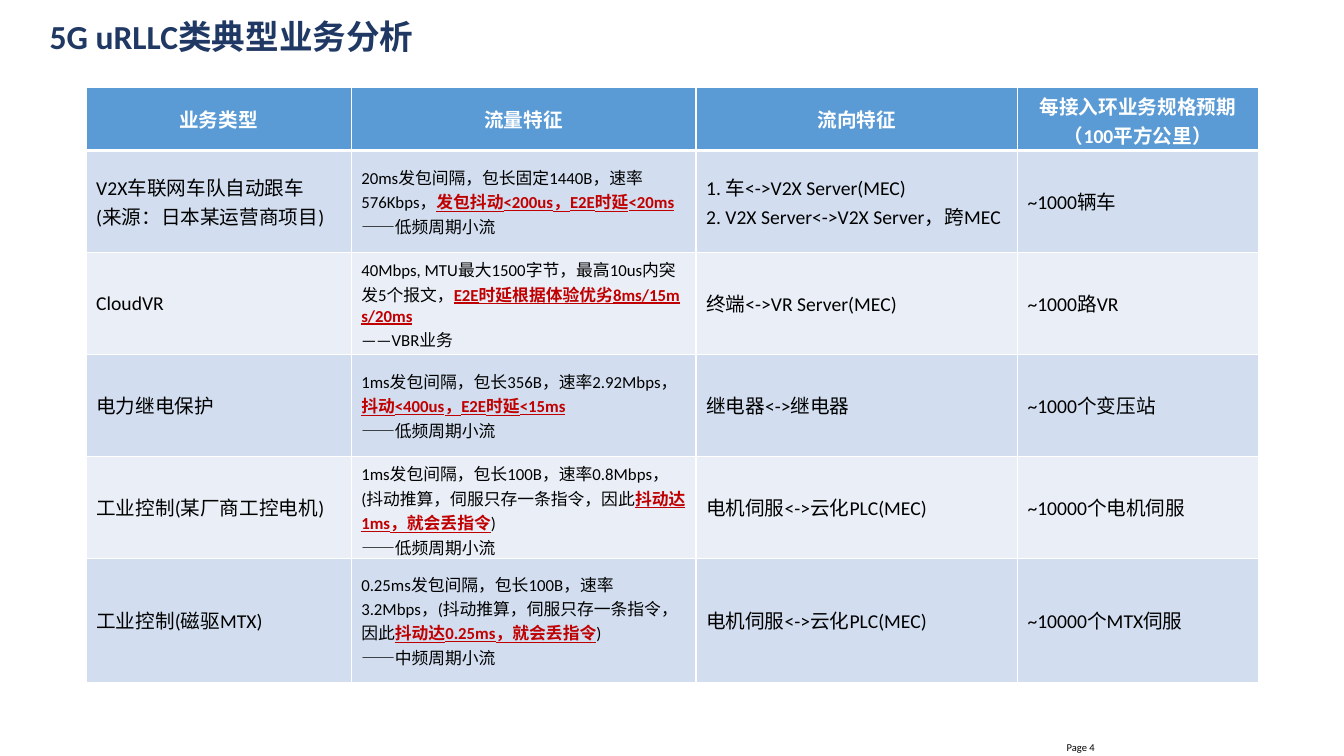
from lxml.etree import SubElement
from pptx import Presentation
from pptx.dml.color import RGBColor
from pptx.enum.text import MSO_ANCHOR as Anchor, PP_ALIGN as Align
from pptx.oxml.ns import qn
from pptx.util import Cm, Pt

NAVY = RGBColor(0x20, 0x38, 0x64)
BLUE = RGBColor(0x5B, 0x9B, 0xD5)
BAND_DARK = RGBColor(0xD2, 0xDE, 0xEF)
BAND_LIGHT = RGBColor(0xEA, 0xEF, 0xF7)
RED = RGBColor(0xC0, 0x00, 0x00)
BLACK = RGBColor(0x00, 0x00, 0x00)
WHITE = RGBColor(0xFF, 0xFF, 0xFF)

COLUMN_WIDTHS = [6.68, 8.69, 8.1, 6.07]
ROW_HEIGHTS = [1.6, 2.57, 2.57, 2.57, 2.57, 3.12]
TRAFFIC_COLUMN = 1

# Text between asterisks is emphasised; each line is a paragraph.
HEADINGS = ["业务类型", "流量特征", "流向特征", "每接入环业务规格预期\n（100平方公里）"]
SERVICES = [
    ["V2X车联网车队自动跟车\n(来源：日本某运营商项目)",
     "20ms发包间隔，包长固定1440B，速率576Kbps，*发包抖动<200us，E2E时延<20ms*\n——低频周期小流",
     "1. 车<->V2X Server(MEC)\n2. V2X Server<->V2X Server，跨MEC",
     "~1000辆车"],
    ["CloudVR",
     "40Mbps, MTU最大1500字节，最高10us内突发5个报文，*E2E时延根据体验优劣8ms/15ms/20ms*\n——VBR业务",
     "终端<->VR Server(MEC)",
     "~1000路VR"],
    ["电力继电保护",
     "1ms发包间隔，包长356B，速率2.92Mbps，*抖动<400us，E2E时延<15ms*\n——低频周期小流",
     "继电器<->继电器",
     "~1000个变压站"],
    ["工业控制(某厂商工控电机)",
     "1ms发包间隔，包长100B，速率0.8Mbps，(抖动推算，伺服只存一条指令，因此*抖动达1ms，就会丢指令*)\n——低频周期小流",
     "电机伺服<->云化PLC(MEC)",
     "~10000个电机伺服"],
    ["工业控制(磁驱MTX)",
     "0.25ms发包间隔，包长100B，速率3.2Mbps，(抖动推算，伺服只存一条指令，因此*抖动达0.25ms，就会丢指令*)\n——中频周期小流",
     "电机伺服<->云化PLC(MEC)",
     "~10000个MTX伺服"],
]


class SlideBuilder:
    font_name = "Calibri"

    def __init__(self, slide):
        self.slide = slide

    def fill_text(self, frame, text, size, color, bold=False, align=Align.LEFT, spacing=1.0):
        """Fill a text frame, setting the parts between asterisks in underlined bold red."""
        for index, line in enumerate(text.split("\n")):
            paragraph = frame.paragraphs[0] if index == 0 else frame.add_paragraph()
            paragraph.alignment = align
            paragraph.line_spacing = spacing
            for part, words in enumerate(line.split("*")):
                if not words:
                    continue
                emphasised = part % 2 == 1
                run = paragraph.add_run()
                run.text = words
                style = {"name": self.font_name, "size": Pt(size),
                         "bold": bold or emphasised, "underline": emphasised}
                for key, value in style.items():
                    setattr(run.font, key, value)
                run.font.color.rgb = RED if emphasised else color

    def text(self, left, top, width, height, text, anchor, **style):
        box = self.slide.shapes.add_textbox(Cm(left), Cm(top), Cm(width), Cm(height))
        frame = box.text_frame
        layout = {"word_wrap": True, "vertical_anchor": anchor,
                  "margin_top": 0, "margin_bottom": 0}
        for key, value in layout.items():
            setattr(frame, key, value)
        self.fill_text(frame, text, **style)

    def borders(self, cell, widths):
        properties = cell._tc.get_or_add_tcPr()
        for side, width in widths.items():
            line = SubElement(properties, qn(f"a:ln{side}"), w=str(Pt(width)))
            fill = SubElement(line, qn("a:solidFill"))
            SubElement(fill, qn("a:srgbClr"), val=str(WHITE))

    def table(self, left, top, widths, heights, rows):
        frame = self.slide.shapes.add_table(
            len(rows), len(widths), Cm(left), Cm(top), Cm(sum(widths)), Cm(sum(heights)))
        table = frame.table
        for column, width in zip(table.columns, widths):
            column.width = Cm(width)
        for row, height in zip(table.rows, heights):
            row.height = Cm(height)
        for r, row in enumerate(rows):
            for c, text in enumerate(row):
                cell = table.cell(r, c)
                cell.vertical_anchor = Anchor.MIDDLE
                self.borders(cell, {"L": 1, "R": 1, "T": 3 if r == 1 else 1,
                                    "B": 3 if r == 0 else 1})
                cell.fill.solid()
                if r == 0:
                    cell.fill.fore_color.rgb = BLUE
                    self.fill_text(cell.text_frame, text, 14, WHITE, True, Align.CENTER)
                else:
                    cell.fill.fore_color.rgb = BAND_DARK if r % 2 else BAND_LIGHT
                    size = 12 if c == TRAFFIC_COLUMN else 14
                    self.fill_text(cell.text_frame, text, size, BLACK)


def main():
    deck = Presentation()
    deck.slide_width, deck.slide_height = Cm(33.87), Cm(19.05)
    builder = SlideBuilder(deck.slides.add_slide(deck.slide_layouts[6]))
    builder.text(1, 0.4, 32.4, 1.17, "5G uRLLC类典型业务分析", Anchor.MIDDLE,
                 size=24, color=NAVY, bold=True, spacing=0.9)
    builder.table(2.17, 2.19, COLUMN_WIDTHS, ROW_HEIGHTS, [HEADINGS] + SERVICES)
    builder.text(26.42, 18.48, 1.42, 0.52, "Page 4", Anchor.BOTTOM,
                 size=7.5, color=BLACK, align=Align.RIGHT)
    deck.save("out.pptx")


if __name__ == "__main__":
    main()
